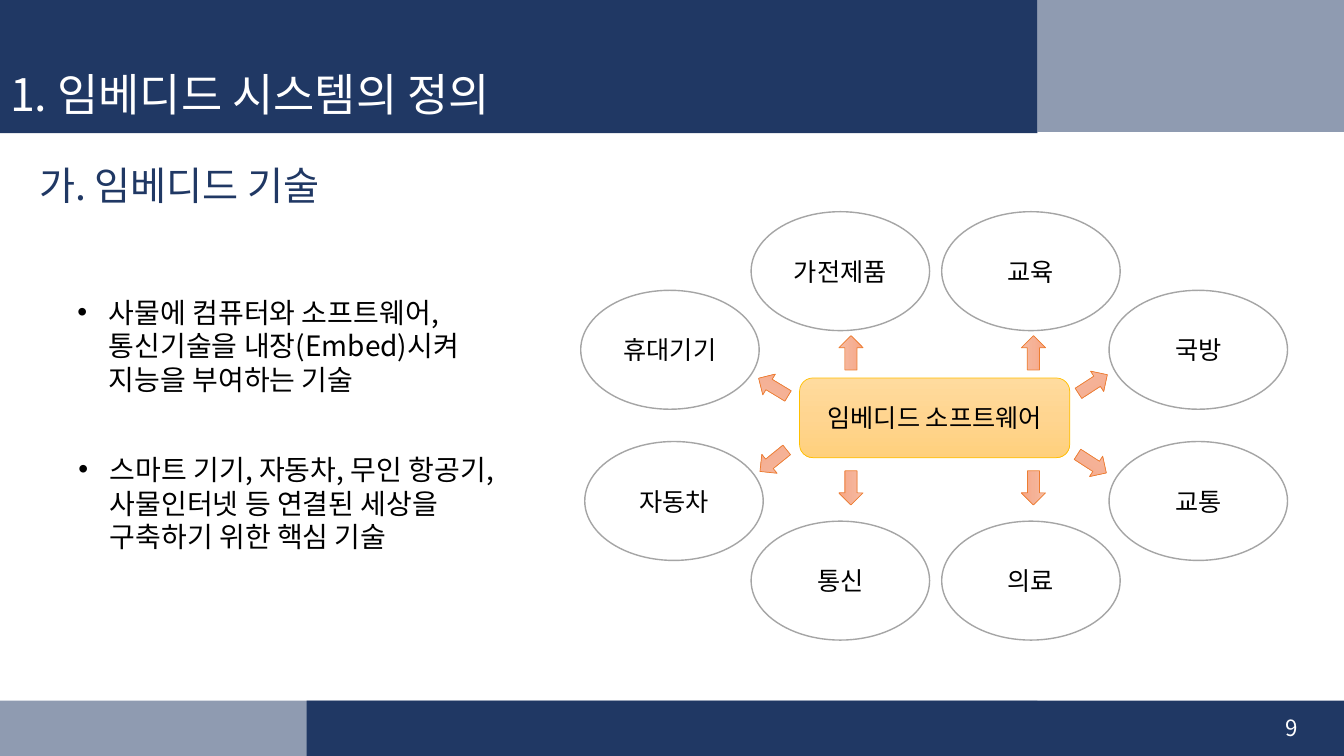
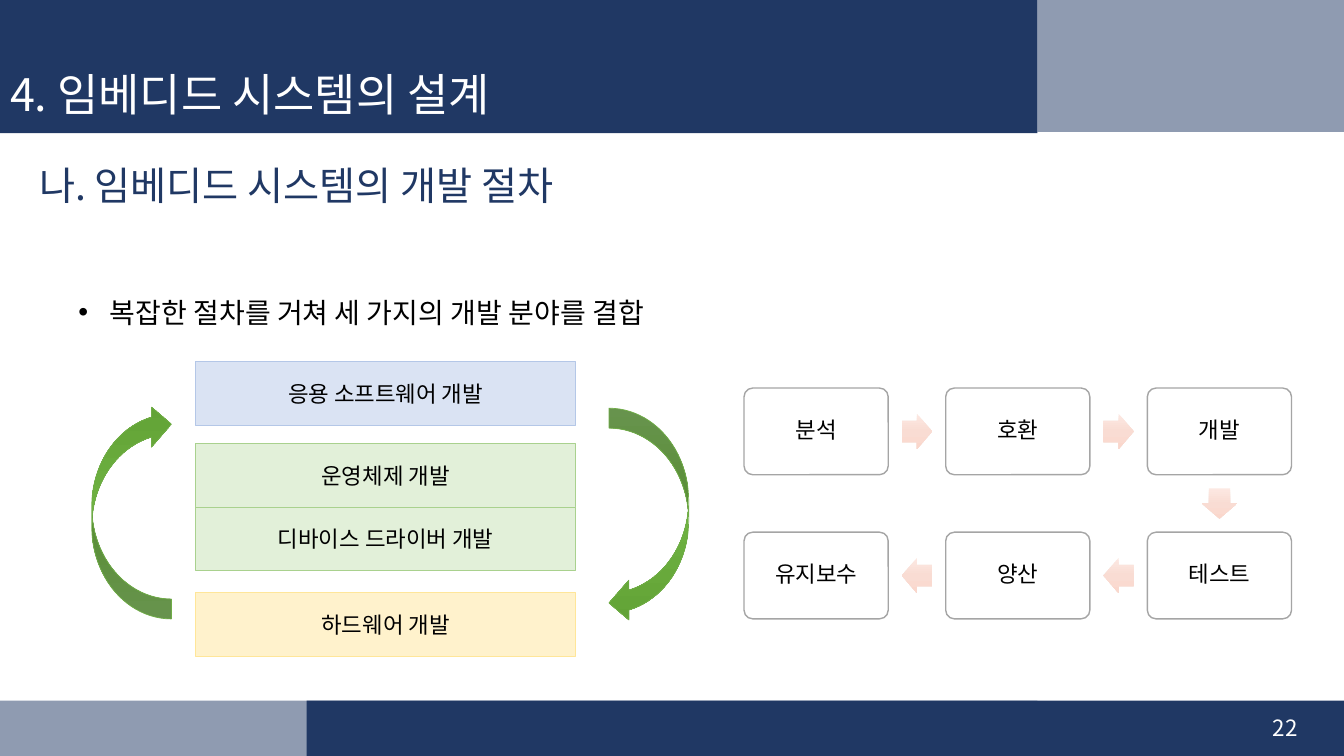
import copy

import pptx
import pptx.util
import pptx.dml.color
import pptx.enum.shapes
import pptx.enum.text
import pptx.oxml
import pptx.oxml.ns
from lxml import etree

Inches = pptx.util.Inches
Pt = pptx.util.Pt
RGBColor = pptx.dml.color.RGBColor
SHAPE = pptx.enum.shapes.MSO_SHAPE
ALIGN = pptx.enum.text.PP_ALIGN
ANCHOR = pptx.enum.text.MSO_ANCHOR
qn = pptx.oxml.ns.qn

FONT = "Noto Sans CJK KR"
NAVY = RGBColor(0x20, 0x38, 0x64)
WHITE = RGBColor(0xFF, 0xFF, 0xFF)
BLACK = RGBColor(0x00, 0x00, 0x00)
GRAY = RGBColor(0xA5, 0xA5, 0xA5)
AMBER = RGBColor(0xFF, 0xC0, 0x00)
ORANGE = RGBColor(0xED, 0x7D, 0x31)
GREEN = RGBColor(0x70, 0xAD, 0x47)
PALE_BLUE = RGBColor(0xDA, 0xE3, 0xF3)
BLUE_EDGE = RGBColor(0xB4, 0xC7, 0xE7)
PALE_GREEN = RGBColor(0xE2, 0xF0, 0xD9)
GREEN_EDGE = RGBColor(0xA9, 0xD1, 0x8E)
PALE_YELLOW = RGBColor(0xFF, 0xF2, 0xCC)
YELLOW_EDGE = RGBColor(0xFF, 0xE6, 0x99)
AMBER_GRADIENT = (RGBColor(0xFF, 0xDB, 0x9E), RGBColor(0xFF, 0xD5, 0x90), RGBColor(0xFF, 0xD0, 0x7C))
ORANGE_GRADIENT = (RGBColor(0xF7, 0xBD, 0xA5), RGBColor(0xF5, 0xB1, 0x96), RGBColor(0xF8, 0xA5, 0x82))
GREEN_GRADIENT = (RGBColor(0x81, 0xB8, 0x61), RGBColor(0x6F, 0xB2, 0x42), RGBColor(0x62, 0xA3, 0x36))
PINK_GRADIENT = (RGBColor(0xFC, 0xE8, 0xE2), RGBColor(0xF9, 0xDC, 0xD3), RGBColor(0xFA, 0xD7, 0xCC))


def format_text(shape, size, color, align=ALIGN.LEFT, anchor=ANCHOR.TOP):
    frame = shape.text_frame
    frame.word_wrap = True
    frame.auto_size = pptx.enum.text.MSO_AUTO_SIZE.NONE
    frame.vertical_anchor = anchor
    for paragraph in frame.paragraphs:
        paragraph.alignment = align
        for run in paragraph.runs:
            run.font.size = Pt(size)
            run.font.name = FONT
            run.font.color.rgb = color
            properties = run._r.get_or_add_rPr()
            east_asian = etree.SubElement(properties, qn("a:ea"))
            east_asian.set("typeface", FONT)


def set_gradient(shape, colors):
    shape.fill.gradient()
    shape.fill.gradient_angle = 270
    stop_list = shape._element.spPr.find(".//" + qn("a:gsLst"))
    stop_list.insert(1, copy.deepcopy(stop_list[0]))
    for index, (stop, color) in enumerate(zip(shape.fill.gradient_stops, colors)):
        stop.position = index / 2
        stop.color.rgb = color


def add_shape(slide, kind, box, fill, edge=None, edge_width=0.5, text="", size=16):
    shape = slide.shapes.add_shape(kind, *map(Inches, box))
    shape.shadow.inherit = False
    if isinstance(fill, RGBColor):
        shape.fill.solid()
        shape.fill.fore_color.rgb = fill
    else:
        set_gradient(shape, fill)
    if edge is None:
        shape.line.fill.background()
    else:
        shape.line.color.rgb = edge
        shape.line.width = Pt(edge_width)
    if text:
        shape.text_frame.text = text
        format_text(shape, size, BLACK, ALIGN.CENTER, ANCHOR.MIDDLE)
    return shape


def add_text(slide, box, text, size, color, align=ALIGN.LEFT, anchor=ANCHOR.TOP):
    shape = slide.shapes.add_textbox(*map(Inches, box))
    shape.text_frame.text = text
    format_text(shape, size, color, align, anchor)
    return shape


def add_bullet(slide, box, text):
    shape = add_text(slide, box, text, 20, BLACK)
    properties = shape.text_frame.paragraphs[0]._p.get_or_add_pPr()
    properties.set("marL", str(Inches(0.31)))
    properties.set("indent", str(-Inches(0.31)))
    etree.SubElement(properties, qn("a:buFont")).set("typeface", "Arial")
    etree.SubElement(properties, qn("a:buChar")).set("char", "•")


def add_band(slide, box, translucent=False):
    band = add_shape(slide, SHAPE.RECTANGLE, box, NAVY)
    if translucent:
        color = band._element.spPr.find(".//" + qn("a:srgbClr"))
        etree.SubElement(color, qn("a:alpha")).set("val", "50000")


def add_framed_slide(presentation, title_text, heading, number):
    slide = presentation.slides.add_slide(presentation.slide_layouts[5])
    add_band(slide, (0, 0, 10.29, 1.32))
    add_band(slide, (10.29, 0, 3.04, 1.31), translucent=True)
    add_band(slide, (3.04, 6.95, 10.29, 0.55))
    add_band(slide, (0, 6.95, 10.29, 0.55), translucent=True)
    title = slide.shapes.title
    title.left, title.top, title.width, title.height = map(Inches, (0, 0.61, 10, 0.63))
    title.text_frame.text = title_text
    format_text(title, 32, WHITE, anchor=ANCHOR.MIDDLE)
    slide.shapes._spTree.append(title._element)
    add_text(slide, (0.29, 1.55, 6.22, 0.56), heading, 28, NAVY)
    add_text(slide, (9.97, 7.02, 3, 0.4), number, 16, WHITE, ALIGN.RIGHT, ANCHOR.MIDDLE)
    return slide


def add_application_map(slide):
    add_shape(slide, SHAPE.ROUNDED_RECTANGLE, (7.93, 3.75, 2.68, 0.79),
              AMBER_GRADIENT, AMBER, text="임베디드 소프트웨어", size=18)
    applications = [
        ("휴대기기", 5.76, 2.88), ("자동차", 5.8, 4.38),
        ("통신", 7.45, 5.17), ("의료", 9.34, 5.17),
        ("가전제품", 7.45, 2.1), ("교육", 9.34, 2.1),
        ("국방", 11, 2.88), ("교통", 11, 4.38),
    ]
    for name, left, top in applications:
        add_shape(slide, SHAPE.OVAL, (left, top, 1.77, 1.18), WHITE, GRAY, 1, name, 18)
    arrows = [
        (8.27, 3.38, 270), (10.08, 3.38, 270), (8.27, 4.72, 90), (10.08, 4.72, 90),
        (7.5, 4.45, 141.1), (7.5, 3.72, 211.1), (10.66, 4.48, 32.8), (10.67, 3.69, 327.1),
    ]
    for left, top, rotation in arrows:
        arrow = add_shape(slide, SHAPE.RIGHT_ARROW, (left, top, 0.34, 0.24), ORANGE_GRADIENT, ORANGE)
        arrow.rotation = rotation


def add_development_layers(slide):
    layers = [
        ("응용 소프트웨어 개발", 3.59, PALE_BLUE, BLUE_EDGE),
        ("운영체제 개발", 4.4, PALE_GREEN, GREEN_EDGE),
        ("디바이스 드라이버 개발", 5.03, PALE_GREEN, GREEN_EDGE),
        ("하드웨어 개발", 5.88, PALE_YELLOW, YELLOW_EDGE),
    ]
    for name, top, fill, edge in layers:
        add_shape(slide, SHAPE.RECTANGLE, (1.94, top, 3.77, 0.63), fill, edge, text=name)
    for left, top, rotation in [(0.91, 4.01, 180), (6.04, 4.05, 0)]:
        arrow = add_shape(slide, SHAPE.CURVED_LEFT_ARROW, (left, top, 0.79, 2.13), GREEN_GRADIENT, GREEN)
        arrow.rotation = rotation


def add_flow_arrow(slide, kind, center_x, center_y, width, height):
    box = (center_x - width / 2, center_y - height / 2, width, height)
    arrow = add_shape(slide, kind, box, PINK_GRADIENT)
    arrow.adjustments[0] = 0.6
    arrow.adjustments[1] = 0.5


def add_process_flow(slide):
    left, top, width, height = 7.38, 3.85, 1.43, 0.86
    column_step, row_step = 2, 1.43
    rows = [
        (["분석", "호환", "개발"], SHAPE.RIGHT_ARROW),
        (["유지보수", "양산", "테스트"], SHAPE.LEFT_ARROW),
    ]
    for row, (steps, arrow_kind) in enumerate(rows):
        row_top = top + row * row_step
        for column, step in enumerate(steps):
            step_left = left + column * column_step
            box = add_shape(slide, SHAPE.ROUNDED_RECTANGLE, (step_left, row_top, width, height),
                            WHITE, GRAY, 1, step)
            box.adjustments[0] = 0.1
            box.text_frame.paragraphs[0].line_spacing = 0.9
            if column:
                gap_center = step_left - (column_step - width) / 2
                add_flow_arrow(slide, arrow_kind, gap_center, row_top + height / 2, 0.3, 0.35)
    add_flow_arrow(slide, SHAPE.DOWN_ARROW, left + 2 * column_step + width / 2,
                   top + (height + row_step) / 2, 0.35, 0.3)


def main():
    presentation = pptx.Presentation()
    presentation.slide_width = Inches(13.33)
    presentation.slide_height = Inches(7.5)

    definition = add_framed_slide(presentation, "1. 임베디드 시스템의 정의", "가. 임베디드 기술", "9")
    add_application_map(definition)
    add_bullet(definition, (0.67, 2.88, 5.21, 1.1),
               "사물에 컴퓨터와 소프트웨어,\v통신기술을 내장(Embed)시켜\v지능을 부여하는 기술")
    add_bullet(definition, (0.68, 4.44, 5.35, 1.1),
               "스마트 기기, 자동차, 무인 항공기,\v사물인터넷 등 연결된 세상을\v구축하기 위한 핵심 기술")

    design = add_framed_slide(presentation, "4. 임베디드 시스템의 설계", "나. 임베디드 시스템의 개발 절차", "22")
    add_bullet(design, (0.68, 2.88, 10.32, 0.44), "복잡한 절차를 거쳐 세 가지의 개발 분야를 결합")
    add_development_layers(design)
    add_process_flow(design)

    presentation.save("out.pptx")


if __name__ == "__main__":
    main()
